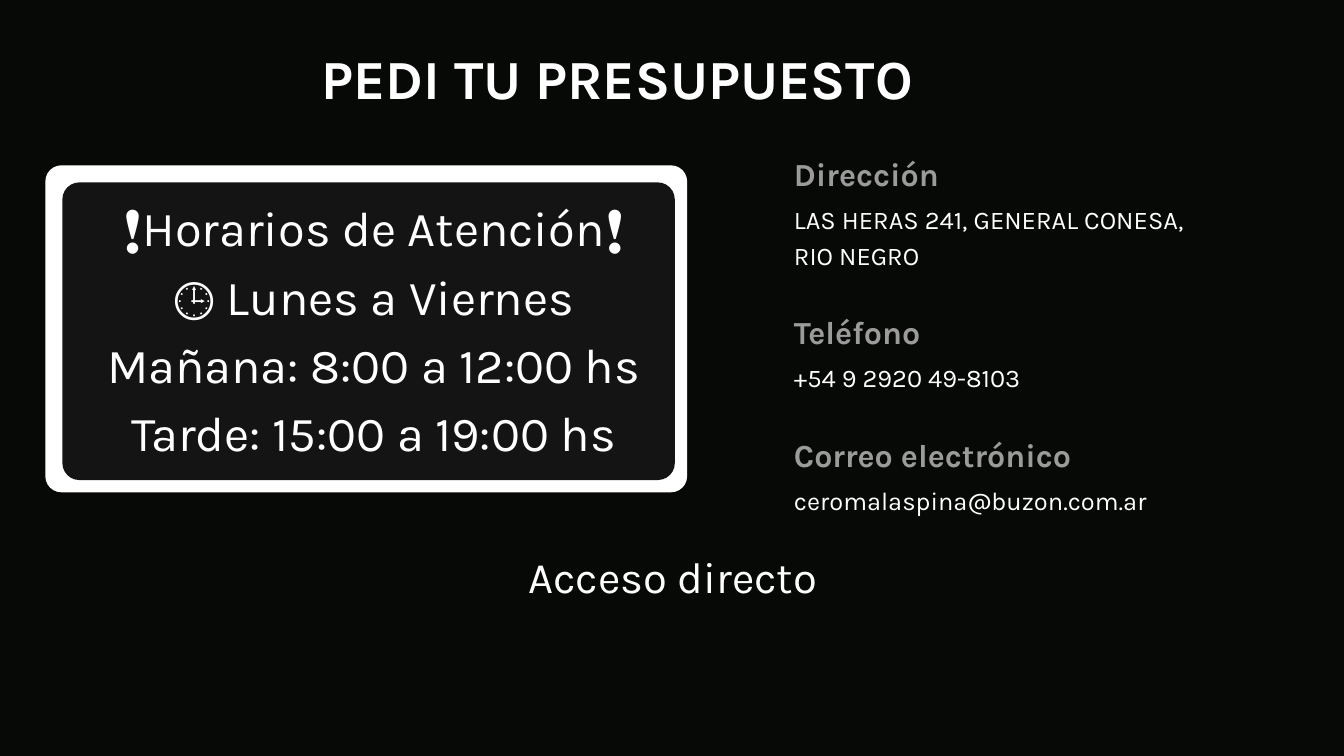
from pptx import Presentation
from pptx.dml.color import RGBColor
from pptx.enum import shapes, text
from pptx.util import Inches, Pt

COLORS = {"background": "070906", "panel": "141414", "white": "FFFFFF", "heading": "9B9B9B"}
FONT = "Karla"

TITLE = "PEDI TU PRESUPUESTO"
HOURS = [
    "❗Horarios de Atención❗",
    "🕒 Lunes a Viernes",
    "Mañana: 8:00 a 12:00 hs",
    "Tarde: 15:00 a 19:00 hs",
]
CONTACTS = [
    ("Dirección", ["LAS HERAS 241, GENERAL CONESA,", "RIO NEGRO"]),
    ("Teléfono", ["+54 9 2920 49-8103"]),
    ("Correo electrónico", ["ceromalaspina@buzon.com.ar"]),
]
SHORTCUT = "Acceso directo"

# Left, top, width, height, corner radius, colour
PANELS = [
    (0.48, 1.75, 6.79, 3.46, 0.17, "white"),
    (0.66, 1.93, 6.48, 3.15, 0.18, "panel"),
]

CONTACT_LEFT, CONTACT_TOP, CONTACT_WIDTH = 8.4, 1.57, 5.35
HEADING_HEIGHT, DETAIL_OFFSET, DETAIL_LINE = 0.44, 0.54, 0.37
CONTACT_GAP = 0.39


def color(name):
    return RGBColor.from_string(COLORS[name])


def write(box, lines, size, spacing, ink="white", bold=False, align=text.PP_ALIGN.LEFT):
    frame = box.text_frame
    frame.word_wrap = True
    frame.auto_size = text.MSO_AUTO_SIZE.NONE
    frame.vertical_anchor = text.MSO_ANCHOR.TOP
    frame.margin_left = frame.margin_right = frame.margin_top = frame.margin_bottom = 0
    frame.text = "\n".join(lines)
    for para in frame.paragraphs:
        para.alignment = align
        para.line_spacing = Pt(spacing)
        para.space_before = Pt(0)
        para.font.name = FONT
        para.font.size = Pt(size)
        para.font.bold = bold
        para.font.color.rgb = color(ink)


def add_text(slide, place, lines, size, spacing, **style):
    box = slide.shapes.add_textbox(*map(Inches, place))
    write(box, lines, size, spacing, **style)


def add_panel(slide, left, top, width, height, radius, fill):
    panel = slide.shapes.add_shape(
        shapes.MSO_SHAPE.ROUNDED_RECTANGLE, *map(Inches, (left, top, width, height)))
    panel.adjustments[0] = radius / min(width, height)
    panel.shadow.inherit = False
    panel.fill.solid()
    panel.fill.fore_color.rgb = color(fill)
    panel.line.fill.background()


def add_contacts(slide):
    top = CONTACT_TOP
    for heading, details in CONTACTS:
        add_text(slide, (CONTACT_LEFT, top, CONTACT_WIDTH, HEADING_HEIGHT),
                 [heading], 24.5, 34.3, ink="heading", bold=True)
        height = DETAIL_LINE * len(details)
        add_text(slide, (CONTACT_LEFT, top + DETAIL_OFFSET, CONTACT_WIDTH, height),
                 details, 19.4, 27.1)
        top += DETAIL_OFFSET + height + CONTACT_GAP


def main():
    deck = Presentation()
    deck.slide_width, deck.slide_height = Inches(14.22), Inches(8)
    slide = deck.slides.add_slide(deck.slide_layouts[5])
    slide.background.fill.solid()
    slide.background.fill.fore_color.rgb = color("background")

    title = slide.shapes.title
    title.left, title.top, title.width, title.height = map(Inches, (3.4, 0.41, 7.43, 0.73))
    write(title, [TITLE], 42, 54.6, bold=True)

    for panel in PANELS:
        add_panel(slide, *panel)
    add_text(slide, (0.93, 1.99, 6.05, 2.83), HOURS, 37.2, 52.1, align=text.PP_ALIGN.CENTER)
    add_contacts(slide)
    add_text(slide, (5.54, 5.73, 3.16, 0.61), [SHORTCUT], 33.2, 46.4, align=text.PP_ALIGN.CENTER)

    deck.save("out.pptx")


if __name__ == "__main__":
    main()
